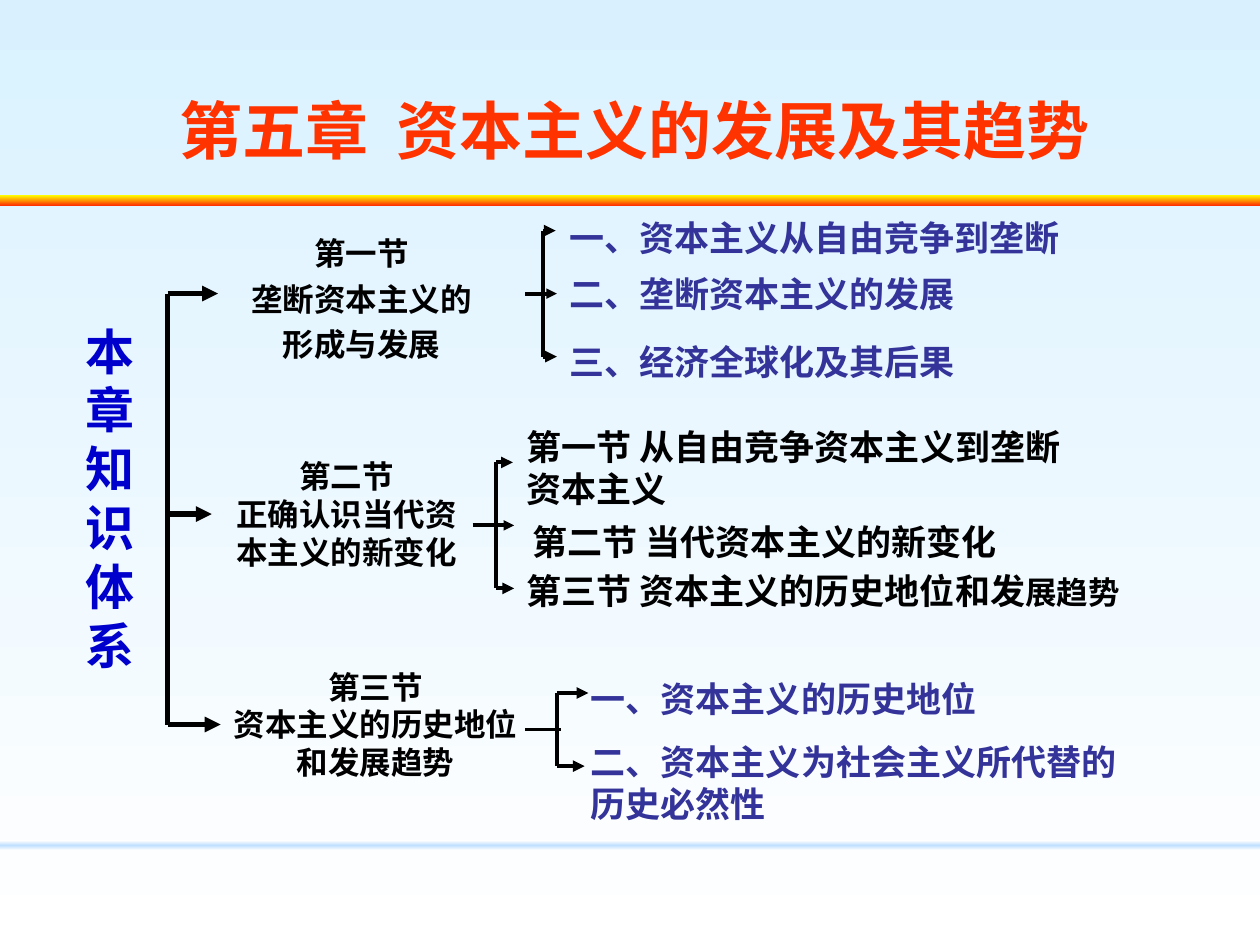
from lxml import etree
from pptx import Presentation
from pptx.dml.color import RGBColor
from pptx.enum.shapes import MSO_CONNECTOR, MSO_SHAPE
from pptx.enum.text import MSO_ANCHOR, MSO_AUTO_SIZE, PP_ALIGN
from pptx.oxml.ns import qn
from pptx.util import Inches, Pt

STRAIGHT = MSO_CONNECTOR.STRAIGHT
RECTANGLE = MSO_SHAPE.RECTANGLE
MIDDLE = MSO_ANCHOR.MIDDLE
GROW, FIXED = MSO_AUTO_SIZE.SHAPE_TO_FIT_TEXT, MSO_AUTO_SIZE.NONE
LEFT, CENTER = PP_ALIGN.LEFT, PP_ALIGN.CENTER

CJK = "Noto Sans CJK SC"
BLACK, INDIGO = "000000", "333399"


def rgb(value):
    return RGBColor.from_string(value)


class OutlineSlide:
    def __init__(self, slide):
        self.slide = slide

    def gradient(self, fill, owner, colors):
        """Fill from top to bottom with evenly spaced colours."""
        fill.gradient()
        fill.gradient_angle = 270
        stops = next(owner.iter(qn("a:gsLst")))
        for stop in list(stops):
            stops.remove(stop)
        for i, color in enumerate(colors):
            position = str(100000 * i // (len(colors) - 1))
            stop = etree.SubElement(stops, qn("a:gs"), pos=position)
            etree.SubElement(stop, qn("a:srgbClr"), val=color)

    def background(self, colors):
        self.gradient(self.slide.background.fill, self.slide._element, colors)

    def band(self, top, colors):
        band = self.slide.shapes.add_shape(
            RECTANGLE, 0, Inches(top), Inches(10), Inches(0.08))
        band.shadow.inherit = False
        band.line.fill.background()
        self.gradient(band.fill, band._element, colors)

    def style_run(self, run, size, font, color):
        run.font.size = Pt(size)
        run.font.name = font
        run.font.bold = True
        run.font.color.rgb = rgb(color)
        etree.SubElement(run._r.get_or_add_rPr(), qn("a:ea"), typeface=CJK)

    def text(self, box, content, size=20, font=CJK, color=BLACK, align=LEFT,
             spacing=None, centered=False):
        label = self.slide.shapes.add_textbox(*map(Inches, box))
        frame = label.text_frame
        frame.word_wrap = True
        frame.auto_size = FIXED if centered else GROW
        if centered:
            frame.vertical_anchor = MIDDLE
        frame.text = content
        for paragraph in frame.paragraphs:
            paragraph.alignment = align
            if spacing:
                paragraph.line_spacing = spacing
            for run in paragraph.runs:
                self.style_run(run, size, font, color)
        return frame

    def section(self, box, content, spacing=None):
        self.text(box, content, 18, "Arial", align=CENTER, spacing=spacing)

    def line(self, start, end, width, arrow=False):
        line = self.slide.shapes.add_connector(
            STRAIGHT, *map(Inches, (*start, *end)))
        line.line.color.rgb = rgb(BLACK)
        line.line.width = Pt(width)
        if arrow:
            etree.SubElement(line.line._get_or_add_ln(), qn("a:tailEnd"),
                             type="triangle")
        etree.SubElement(line._element.spPr, qn("a:effectLst"))

    def bracket(self, x, branches, width=2.25, stub=None):
        """Vertical spine with (y, tip, width) arrows and an optional stub."""
        self.line((x, branches[0][0]), (x, branches[-1][0]), width)
        if stub:
            left, right, y = stub
            self.line((left, y), (right, y), width)
        for y, tip, weight in branches:
            self.line((x, y), (tip, y), weight, arrow=True)


def main():
    prs = Presentation()
    prs.slide_width, prs.slide_height = Inches(10), Inches(7.5)
    page = OutlineSlide(prs.slides.add_slide(prs.slide_layouts[6]))

    page.background(["D9F1FF", "FFFFFF"])
    page.text((0.35, 0.68, 9.37, 0.7), "第五章  资本主义的发展及其趋势",
              36, color="FF3300", align=CENTER)
    page.band(1.55, ["FFFF00", "FF3300"])
    page.band(6.67, ["FFFFFF", "C1E0FF", "FFFFFF"])

    page.text((0.58, 2.5, 0.58, 2.9), "本章知识体系", 28,
              "Times New Roman", "0000CC")
    page.bracket(1.33, [(2.33, 1.73, 3), (4.08, 1.68, 3), (5.75, 1.75, 3)],
                 width=3)

    page.section((1.83, 1.75, 2.08, 1.18),
                 "第一节\n垄断资本主义的形成与发展", spacing=1.2)
    page.section((1.75, 3.58, 2, 1), "第二节\n正确认识当代资本主义的新变化")
    page.section((1.68, 5.25, 2.6, 1),
                 "第三节\n资本主义的历史地位\n和发展趋势")

    page.text((4.42, 1.67, 4.33, 0.44), "一、资本主义从自由竞争到垄断",
              color=INDIGO)
    page.text((4.42, 2.08, 3.92, 0.5), "二、垄断资本主义的发展",
              font="Arial", color=INDIGO, centered=True)
    page.text((4.42, 2.58, 3.58, 0.58), "三、经济全球化及其后果",
              font="Arial", color=INDIGO, centered=True)
    page.bracket(4.31, [(1.83, 4.41, 2.25), (2.33, 4.42, 0.75),
                        (2.83, 4.42, 2.25)], stub=(4.17, 4.38, 2.33))

    page.text((4.08, 3.33, 5.58, 0.77),
              "第一节 从自由竞争资本主义到垄断\n资本主义")
    page.text((4.13, 4.08, 4, 0.44), "第二节 当代资本主义的新变化")
    history = page.text((4.08, 4.25, 5.17, 0.66),
                        "第三节 资本主义的历史地位和发", spacing=Pt(40))
    ending = history.paragraphs[0].add_run()
    ending.text = "展趋势"
    page.style_run(ending, 18, "Arial", BLACK)
    page.bracket(3.94, [(3.67, 4.07, 2.25), (4.17, 4.08, 0.75),
                        (4.67, 4.08, 2.25)], stub=(3.75, 4.04, 4.17))

    page.text((4.59, 5.33, 3.4, 0.44), "一、资本主义的历史地位",
              color=INDIGO)
    page.text((4.59, 5.83, 4.5, 0.77),
              "二、资本主义为社会主义所代替的\n历史必然性", color=INDIGO)
    page.bracket(4.42, [(5.5, 4.67, 2.25), (6.08, 4.64, 2.25)],
                 stub=(4.17, 4.45, 5.79))

    prs.save("out.pptx")


if __name__ == "__main__":
    main()
